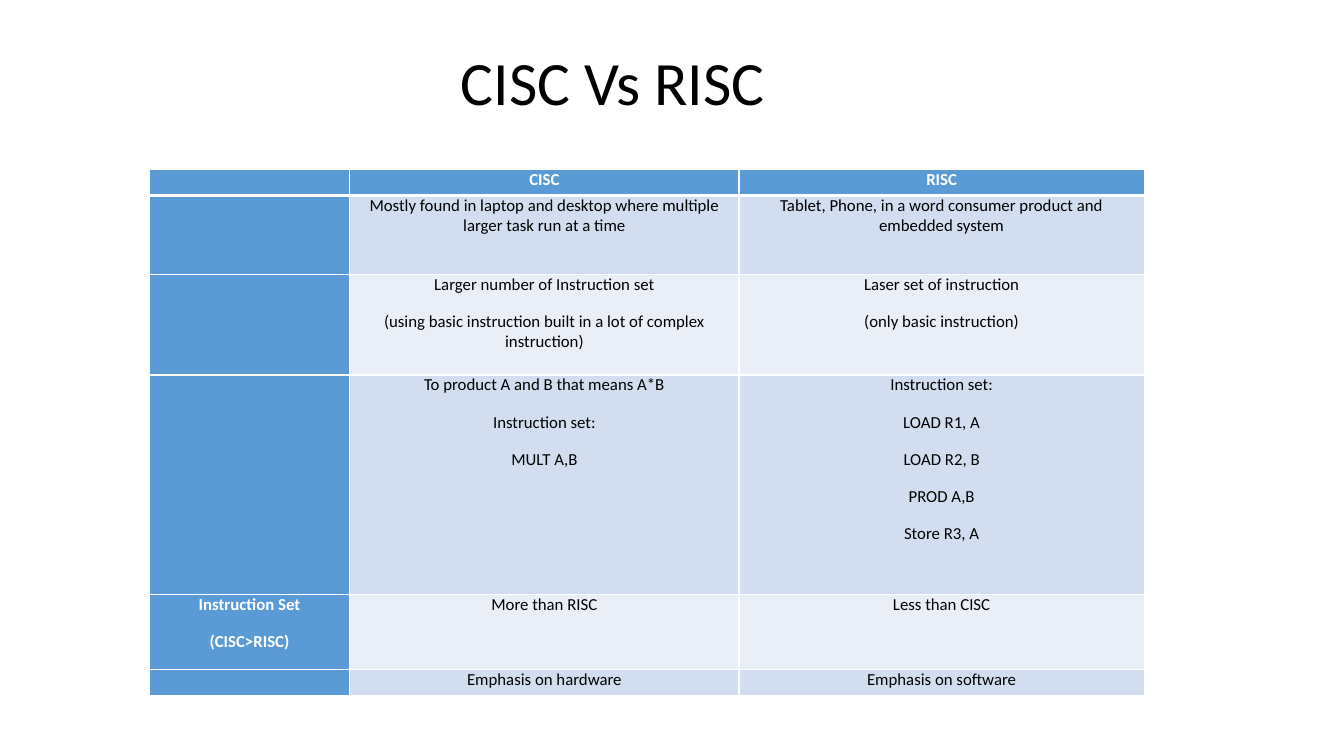
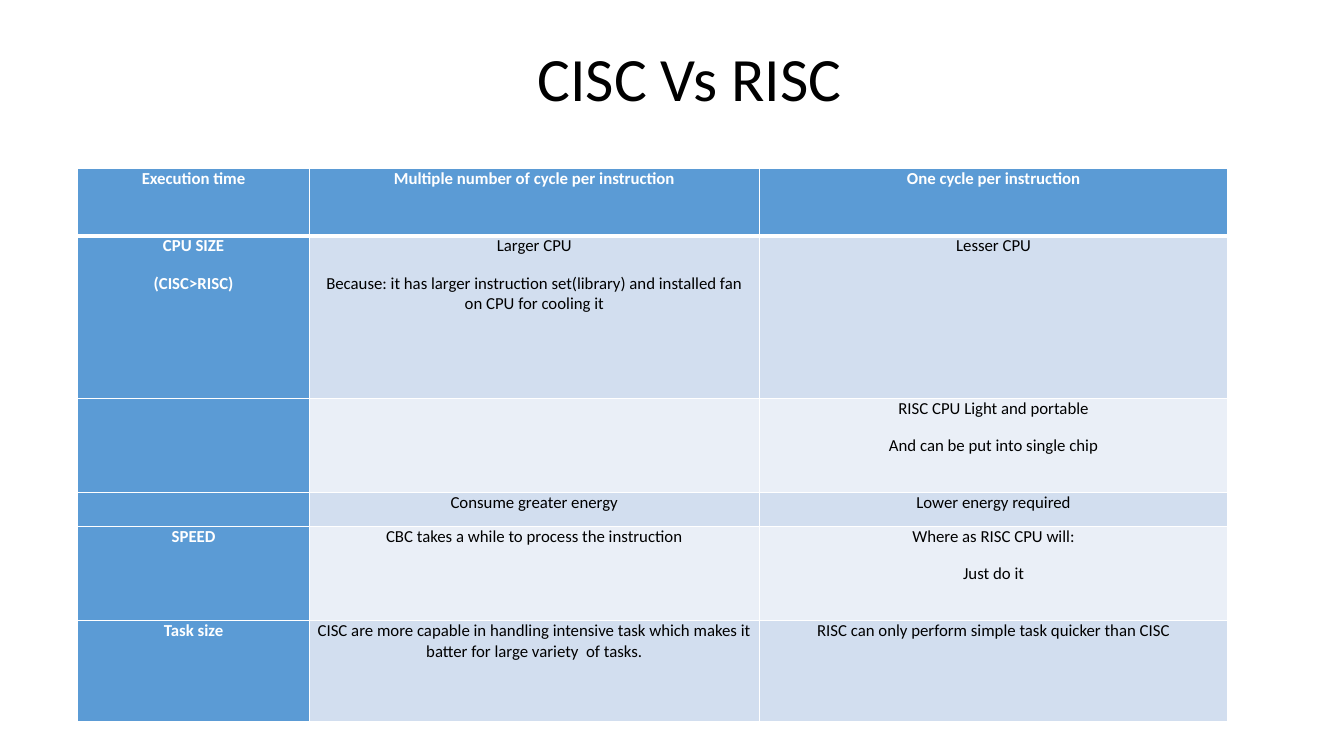
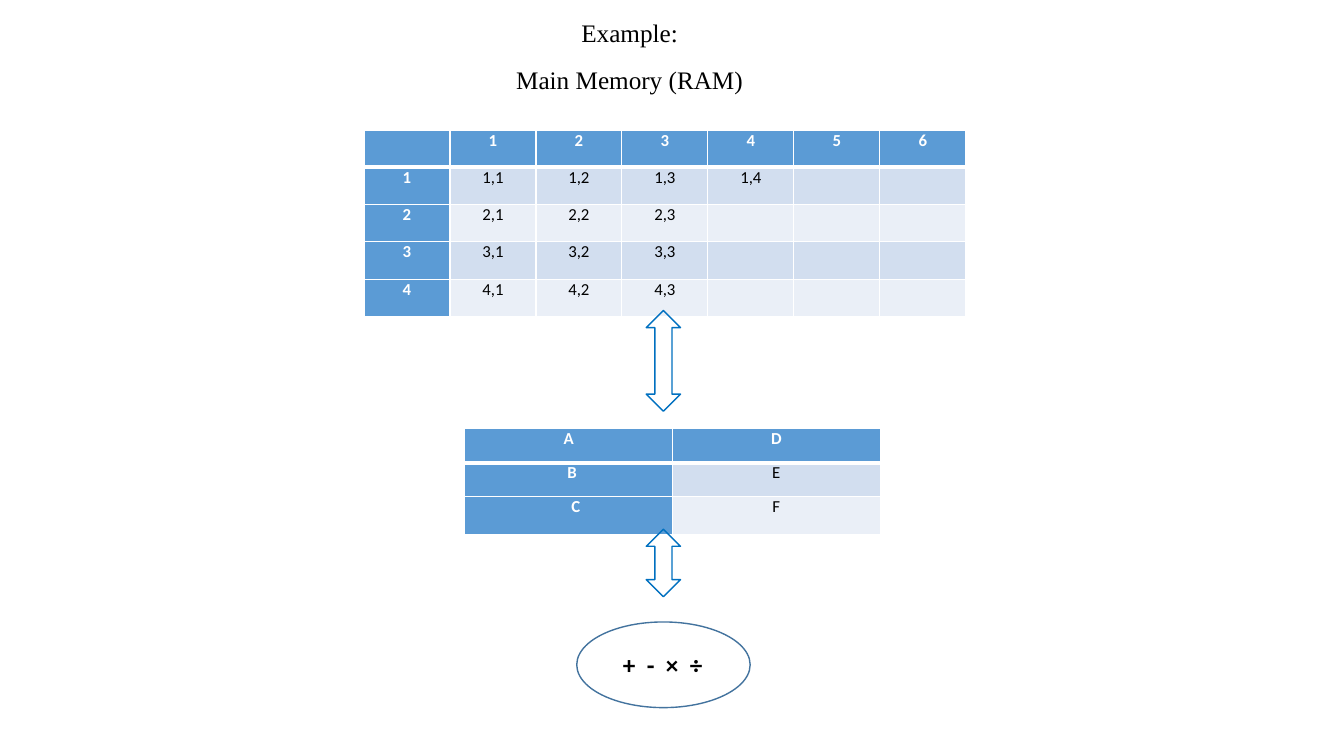
"""Build three slides that compare CISC with RISC and show a memory example."""
from lxml import etree
from pptx import Presentation
from pptx.dml.color import RGBColor
from pptx.enum.shapes import MSO_SHAPE
from pptx.enum.text import MSO_ANCHOR, PP_ALIGN
from pptx.oxml.ns import qn
from pptx.util import Inches, Pt

BLACK = RGBColor(0x00, 0x00, 0x00)
WHITE = RGBColor(0xFF, 0xFF, 0xFF)
HEADER_BLUE = RGBColor(0x5B, 0x9B, 0xD5)
BAND_DARK = RGBColor(0xD2, 0xDE, 0xEF)
BAND_LIGHT = RGBColor(0xEA, 0xEF, 0xF7)
ARROW_BLUE = RGBColor(0x00, 0x70, 0xC0)
OVAL_BLUE = RGBColor(0x43, 0x73, 0x9E)

BODY_FONT = "Calibri"
SERIF_FONT = "Times New Roman"
LEFT, CENTER = PP_ALIGN.LEFT, PP_ALIGN.CENTER
MIDDLE, TOP = MSO_ANCHOR.MIDDLE, MSO_ANCHOR.TOP
DOUBLE_ARROW, OVAL = MSO_SHAPE.UP_DOWN_ARROW, MSO_SHAPE.OVAL

CELL_SIZE = 12
CELL_INSET = 0.07
PARAGRAPH_GAP = 12
THIN_RULE, HEADER_RULE = 1, 3

USES = [
    ["", "CISC", "RISC"],
    ["", "Mostly found in laptop and desktop where multiple larger task run at a time",
     "Tablet, Phone, in a word consumer product and embedded system"],
    ["", "Larger number of Instruction set\n"
     "(using basic instruction built in a lot of complex instruction)",
     "Laser set of instruction\n(only basic instruction)"],
    ["", "To product A and B that means A*B\nInstruction set:\nMULT A,B",
     "Instruction set:\nLOAD R1, A\nLOAD R2, B\nPROD A,B\nStore R3, A"],
    ["Instruction Set\n(CISC>RISC)", "More than RISC", "Less than CISC"],
    ["", "Emphasis on hardware", "Emphasis on software"],
]
PERFORMANCE = [
    ["Execution time", "Multiple number of cycle per instruction", "One cycle per instruction"],
    ["CPU SIZE\n(CISC>RISC)",
     "Larger CPU\nBecause: it has larger instruction set(library) "
     "and installed fan on CPU for cooling it", "Lesser CPU"],
    ["", "", "RISC CPU Light and portable\nAnd can be put into single chip"],
    ["", "Consume greater energy", "Lower energy required"],
    ["SPEED", "CBC takes a while to process the instruction",
     "Where as RISC CPU will:\nJust do it"],
    ["Task size", "CISC are more capable in handling intensive task which makes it "
     "batter for large variety  of tasks.",
     "RISC can only perform simple task quicker than CISC"],
]
REGISTERS = [["A", "D"], ["B", "E"], ["C", "F"]]


def memory_cells():
    """Return the memory grid, filled in three columns and one extra cell."""
    filled = {(row, col) for row in range(1, 5) for col in range(1, 4)} | {(1, 4)}
    header = [""] + [str(col) for col in range(1, 7)]
    return [header] + [
        [str(row)] + [f"{row},{col}" if (row, col) in filled else "" for col in range(1, 7)]
        for row in range(1, 5)
    ]


def format_text(frame, size, color, font=BODY_FONT, bold=False, align=LEFT, gap=0):
    """Apply one text style to every paragraph of a frame."""
    for paragraph in frame.paragraphs:
        paragraph.alignment = align
        paragraph.space_after = Pt(gap)
        for run in paragraph.runs:
            run.font.name = font
            run.font.size = Pt(size)
            run.font.bold = bold
            run.font.color.rgb = color


def add_text(slide, text, box, size, wrap=True, anchor=TOP, **style):
    """Add a text box and return its frame."""
    frame = slide.shapes.add_textbox(*map(Inches, box)).text_frame
    frame.word_wrap = wrap
    frame.vertical_anchor = anchor
    frame.text = text
    format_text(frame, size, BLACK, **style)
    return frame


def add_title(slide, box, inset, align):
    """Add the shared slide title with a given left inset."""
    frame = add_text(slide, "CISC Vs RISC", box, 44, anchor=MIDDLE, align=align)
    frame.margin_left = Inches(inset)
    frame.paragraphs[0].line_spacing = 0.9


def set_borders(cell, row):
    """Draw white cell borders, thicker below the header row."""
    widths = {
        "L": THIN_RULE,
        "R": THIN_RULE,
        "T": HEADER_RULE if row == 1 else THIN_RULE,
        "B": HEADER_RULE if row == 0 else THIN_RULE,
    }
    properties = cell._tc.get_or_add_tcPr()
    for position, (side, width) in enumerate(widths.items()):
        border = etree.Element(qn(f"a:ln{side}"), w=str(Pt(width)))
        fill = etree.SubElement(border, qn("a:solidFill"))
        etree.SubElement(fill, qn("a:srgbClr"), val=str(WHITE))
        properties.insert(position, border)


def fill_cell(cell, text, row, col):
    """Write and style one table cell by its place in the grid."""
    is_header = row == 0 or col == 0
    cell.margin_left = cell.margin_right = Inches(CELL_INSET)
    cell.margin_top = cell.margin_bottom = 0
    cell.fill.solid()
    band = BAND_DARK if row % 2 else BAND_LIGHT
    cell.fill.fore_color.rgb = HEADER_BLUE if is_header else band
    set_borders(cell, row)
    if text:
        cell.text_frame.text = text
        format_text(cell.text_frame, CELL_SIZE, WHITE if is_header else BLACK,
                    bold=is_header, align=CENTER, gap=PARAGRAPH_GAP)
    else:
        etree.SubElement(cell.text_frame.paragraphs[0]._p, qn("a:endParaRPr"),
                         sz=str(CELL_SIZE * 100))


def add_grid(slide, cells, left, top, widths, heights):
    """Add a banded table with header row and header column."""
    table = slide.shapes.add_table(
        len(heights), len(widths), Inches(left), Inches(top),
        Inches(sum(widths)), Inches(sum(heights))).table
    for column, width in zip(table.columns, widths):
        column.width = Inches(width)
    for table_row, height in zip(table.rows, heights):
        table_row.height = Inches(height)
    for row, texts in enumerate(cells):
        for col, text in enumerate(texts):
            fill_cell(table.cell(row, col), text, row, col)
    return table


def add_outline(slide, kind, box, color):
    """Add an unfilled preset shape with a thin line."""
    outline = slide.shapes.add_shape(kind, *map(Inches, box))
    outline.shadow.inherit = False
    outline.fill.background()
    outline.line.color.rgb = color
    outline.line.width = Pt(1)


def build_uses(slide):
    """Compare where each design is used and its instruction set."""
    add_title(slide, (0.92, 0.4, 11.5, 0.9), 3.65, LEFT)
    add_grid(slide, USES, 1.48, 1.68, [1.99, 3.86, 4.02],
             [0.26, 0.78, 1, 2.18, 0.74, 0.26])


def build_performance(slide):
    """Compare timing, size, energy and speed."""
    add_title(slide, (1.72, 0.4, 10.1, 0.82), 0.24, CENTER)
    add_grid(slide, PERFORMANCE, 0.77, 1.67, [2.3, 4.46, 4.65],
             [0.67, 1.61, 0.94, 0.33, 0.94, 1])


def build_example(slide):
    """Show memory, registers and arithmetic unit joined by arrows."""
    add_text(slide, "Example:\nMain Memory (RAM)", (2.91, 0.12, 6.67, 0.88), 18,
             font=SERIF_FONT, align=CENTER, gap=PARAGRAPH_GAP)
    add_grid(slide, memory_cells(), 3.61, 1.29, [5.97 / 7] * 7, [0.37] * 5)
    add_outline(slide, DOUBLE_ARROW, (6.41, 3.08, 0.34, 1), ARROW_BLUE)
    registers = add_grid(slide, REGISTERS, 4.61, 4.25, [2.06] * 2, [0.34, 0.34, 0.37])
    for row in (1, 2):
        registers.cell(row, 0).margin_left = Inches(CELL_INSET * (row + 1))
    add_outline(slide, DOUBLE_ARROW, (6.41, 5.25, 0.34, 0.67), ARROW_BLUE)
    add_outline(slide, OVAL, (5.72, 6.17, 1.72, 0.85), OVAL_BLUE)
    add_text(slide, "+  -  ×  ÷", (6.08, 6.39, 1, 0.4), 18, wrap=False, bold=True)


def main():
    """Build and save the presentation."""
    presentation = Presentation()
    presentation.slide_width = Inches(13.33)
    presentation.slide_height = Inches(7.5)
    blank = presentation.slide_layouts[6]
    for build in (build_uses, build_performance, build_example):
        build(presentation.slides.add_slide(blank))
    presentation.save("out.pptx")


main()
